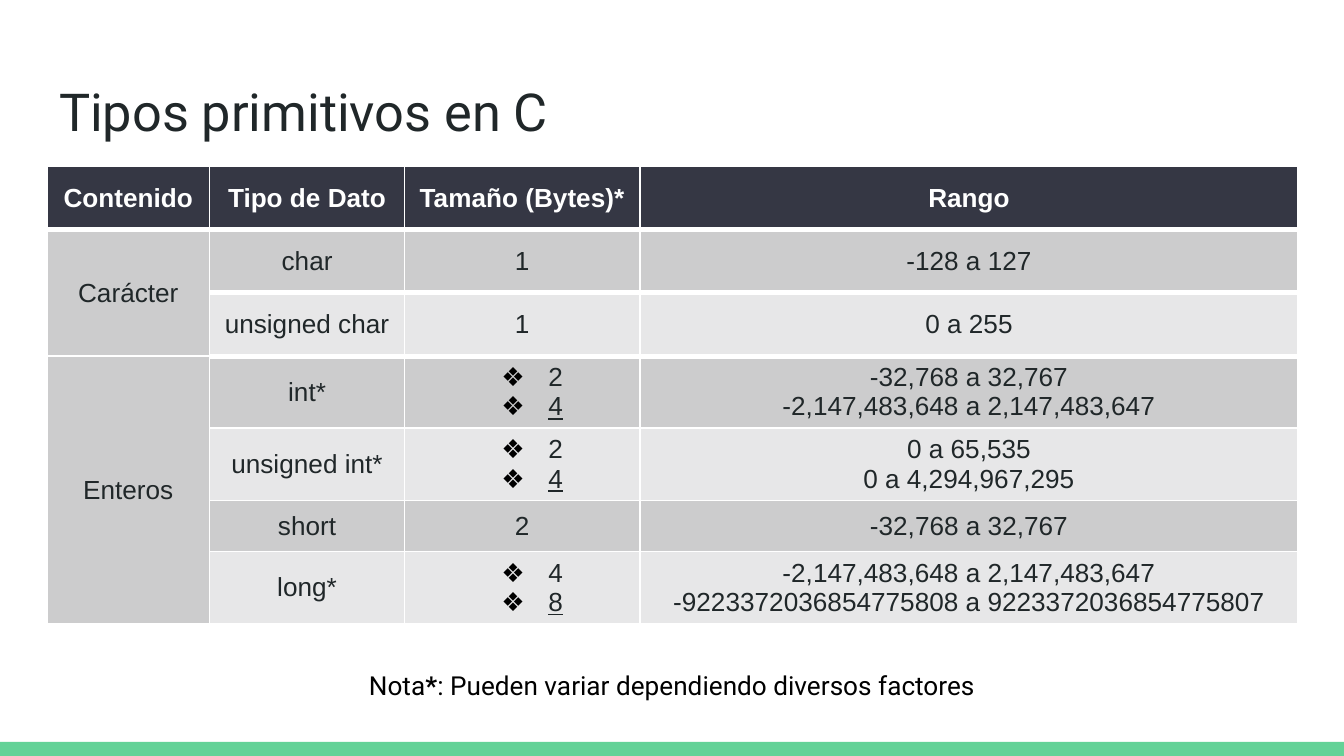
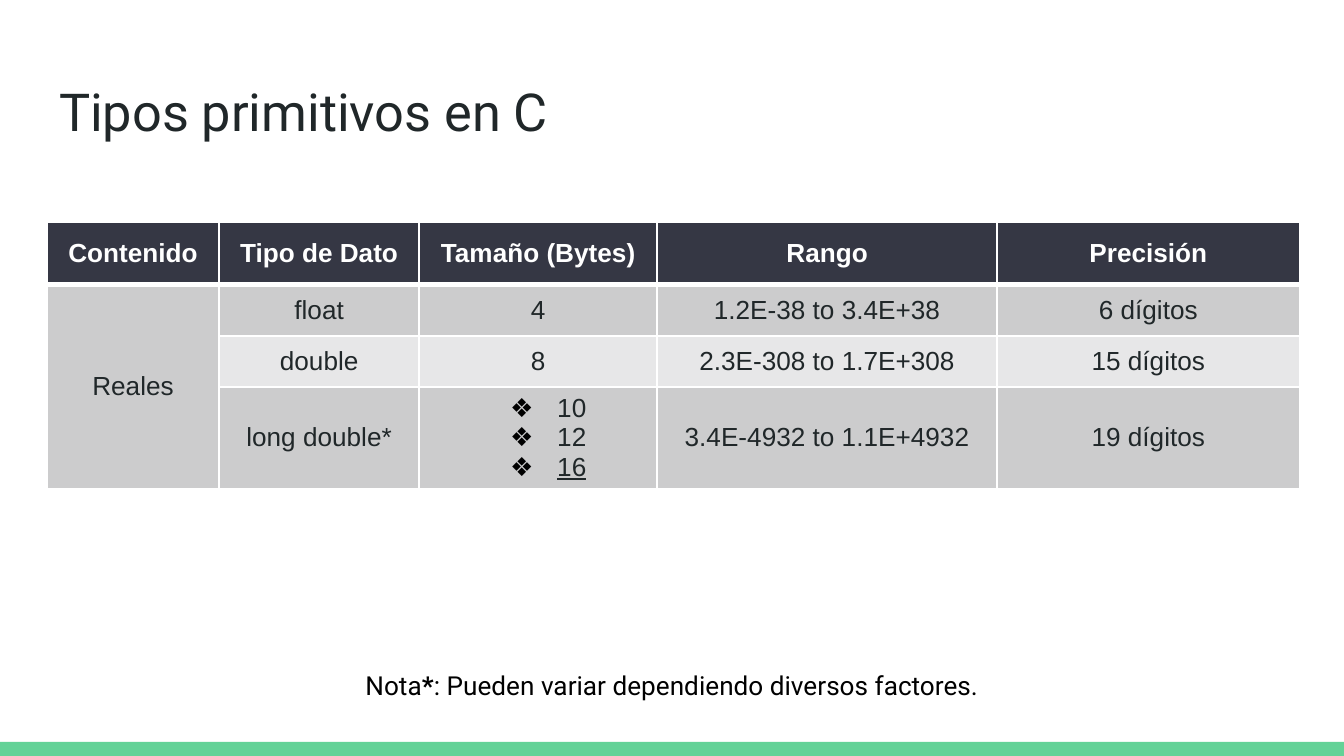
from lxml import etree
from pptx import Presentation
from pptx import util as u
from pptx.dml.color import RGBColor
from pptx.enum import shapes, text
from pptx.oxml import ns

PX = 4572
WIDTH, HEIGHT = 2000, 1125
MARGIN = 68
CONTENT_WIDTH = 1864
COLORS = {
    "ink": "202729",
    "black": "000000",
    "white": "FFFFFF",
    "header": "353744",
    "dark_band": "CCCCCD",
    "light_band": "E7E7E8",
    "accent": "63D297",
}
THIN, THICK = 1, 3
BULLET = "❖"
TITLE = "Tipos primitivos en C"
NOTE = "Pueden variar dependiendo diversos factores"

INTEGER_TABLE = {
    "top": 248,
    "columns": [242, 290, 350, 980],
    "heights": [94, 94, 94, 76, 76, 76, 76],
    "thick_rows": (1, 2),
    "groups": [(1, 2), (3, 6)],
    "rows": [
        ["Contenido", "Tipo de Dato", "Tamaño (Bytes)*", "Rango"],
        ["Carácter", "char", "1", "-128 a 127"],
        ["", "unsigned char", "1", "0 a 255"],
        ["Enteros", "int*", ["2", "4"],
         "-32,768 a 32,767\n-2,147,483,648 a 2,147,483,647"],
        ["", "unsigned int*", ["2", "4"], "0 a 65,535\n0 a 4,294,967,295"],
        ["", "short", "2", "-32,768 a 32,767"],
        ["", "long*", ["4", "8"],
         "-2,147,483,648 a 2,147,483,647 -9223372036854775808 a 9223372036854775807"],
    ],
}
REAL_TABLE = {
    "top": 330,
    "columns": [256, 298, 354, 506, 450],
    "heights": [94, 76, 76, 76],
    "thick_rows": (),
    "groups": [(1, 3)],
    "rows": [
        ["Contenido", "Tipo de Dato", "Tamaño (Bytes)", "Rango", "Precisión"],
        ["Reales", "float", "4", "1.2E-38 to 3.4E+38", "6 dígitos"],
        ["", "double", "8", "2.3E-308 to 1.7E+308", "15 dígitos"],
        ["", "long double*", ["10", "12", "16"], "3.4E-4932 to 1.1E+4932", "19 dígitos"],
    ],
}


def px(length):
    return u.Emu(length * PX)


def color(name):
    return RGBColor.from_string(COLORS[name])


def format_span(span, size, font, ink, bold=False):
    span.font.size = u.Pt(size)
    span.font.name = font
    span.font.bold = bold
    span.font.color.rgb = color(ink)


def set_frame(frame):
    frame.word_wrap = True
    frame.auto_size = text.MSO_AUTO_SIZE.NONE
    frame.vertical_anchor = text.MSO_ANCHOR.TOP
    frame.margin_left = frame.margin_right = px(20)
    frame.margin_top = frame.margin_bottom = px(20)


def add_solid(parent, name):
    fill = etree.SubElement(parent, ns.qn("a:solidFill"))
    etree.SubElement(fill, ns.qn("a:srgbClr"), val=COLORS[name])


def set_borders(cell, top, bottom):
    properties = cell._tc.get_or_add_tcPr()
    for side, points in (("L", THIN), ("R", THIN), ("T", top), ("B", bottom)):
        line = etree.SubElement(properties, ns.qn(f"a:ln{side}"), w=str(u.Pt(points)))
        add_solid(line, "white")


def add_bullet(para):
    properties = para._p.get_or_add_pPr()
    properties.set("marL", str(px(100)))
    properties.set("indent", str(px(-70)))
    bullet_color = etree.SubElement(properties, ns.qn("a:buClr"))
    etree.SubElement(bullet_color, ns.qn("a:srgbClr"), val=COLORS["black"])
    etree.SubElement(properties, ns.qn("a:buFont"), typeface="Arial")
    etree.SubElement(properties, ns.qn("a:buChar"), char=BULLET)


def write_cell(cell, content, is_header):
    is_list = isinstance(content, list)
    cell.text_frame.text = "\n".join(content) if is_list else content
    cell.vertical_anchor = text.MSO_ANCHOR.MIDDLE
    for para in cell.text_frame.paragraphs:
        para.alignment = text.PP_ALIGN.CENTER
        if is_list:
            add_bullet(para)
        for span in para.runs:
            format_span(span, 14, "Arial", "white" if is_header else "ink", is_header)
    if is_list:
        cell.text_frame.paragraphs[-1].runs[0].font.underline = True


def border_below(data, row, column):
    if column == 0:
        return THICK if row == 0 else THIN
    return THICK if row == 0 or row in data["thick_rows"] else THIN


def band(row, column):
    if row == 0:
        return "header"
    return "dark_band" if column == 0 or row % 2 else "light_band"


def add_type_table(page, box, data):
    left, top = box
    columns, heights = data["columns"], data["heights"]
    table = page.shapes.add_table(
        len(heights), len(columns), px(left), px(top),
        px(sum(columns)), px(sum(heights))).table
    for column, width in zip(table.columns, columns):
        column.width = px(width)
    for row, height in zip(table.rows, heights):
        row.height = px(height)
    for r, values in enumerate(data["rows"]):
        for c, content in enumerate(values):
            cell = table.cell(r, c)
            above = border_below(data, r - 1, c) if r else THIN
            set_borders(cell, above, border_below(data, r, c))
            cell.fill.solid()
            cell.fill.fore_color.rgb = color(band(r, c))
            write_cell(cell, content, r == 0)
    for first, last in data["groups"]:
        table.cell(first, 0).merge(table.cell(last, 0))


def add_title(page, box):
    title = page.shapes.title
    title.left, title.top, title.width, title.height = map(px, box)
    set_frame(title.text_frame)
    title.text_frame.text = TITLE
    para = title.text_frame.paragraphs[0]
    para.alignment = text.PP_ALIGN.LEFT
    format_span(para.runs[0], 28, "Roboto", "ink")


def add_note(page, box, note):
    frame = page.shapes.add_textbox(*map(px, box)).text_frame
    set_frame(frame)
    para = frame.paragraphs[0]
    para.alignment = text.PP_ALIGN.CENTER
    for words, bold in (("Nota", False), ("*", True), (f": {note}", False)):
        span = para.add_run()
        span.text = words
        format_span(span, 14, "Roboto", "black", bold)


def add_footer_band(page, box):
    footer = page.shapes.add_shape(shapes.MSO_SHAPE.RECTANGLE, *map(px, box))
    footer.shadow.inherit = False
    footer.fill.solid()
    footer.fill.fore_color.rgb = color("accent")
    footer.line.fill.background()


def add_type_page(deck, data, note):
    page = deck.slides.add_slide(deck.slide_layouts.get_by_name("Title Only"))
    page.background.fill.solid()
    page.background.fill.fore_color.rgb = color("white")
    add_footer_band(page, (0, HEIGHT - 21, WIDTH, 21))
    add_type_table(page, (MARGIN + 2, data["top"]), data)
    add_title(page, (MARGIN, 98, CONTENT_WIDTH, 126))
    add_note(page, (MARGIN, 976, CONTENT_WIDTH, 80), note)


def main():
    deck = Presentation()
    deck.slide_width, deck.slide_height = px(WIDTH), px(HEIGHT)
    add_type_page(deck, INTEGER_TABLE, NOTE)
    add_type_page(deck, REAL_TABLE, f"{NOTE}.")
    deck.save("out.pptx")


if __name__ == "__main__":
    main()
